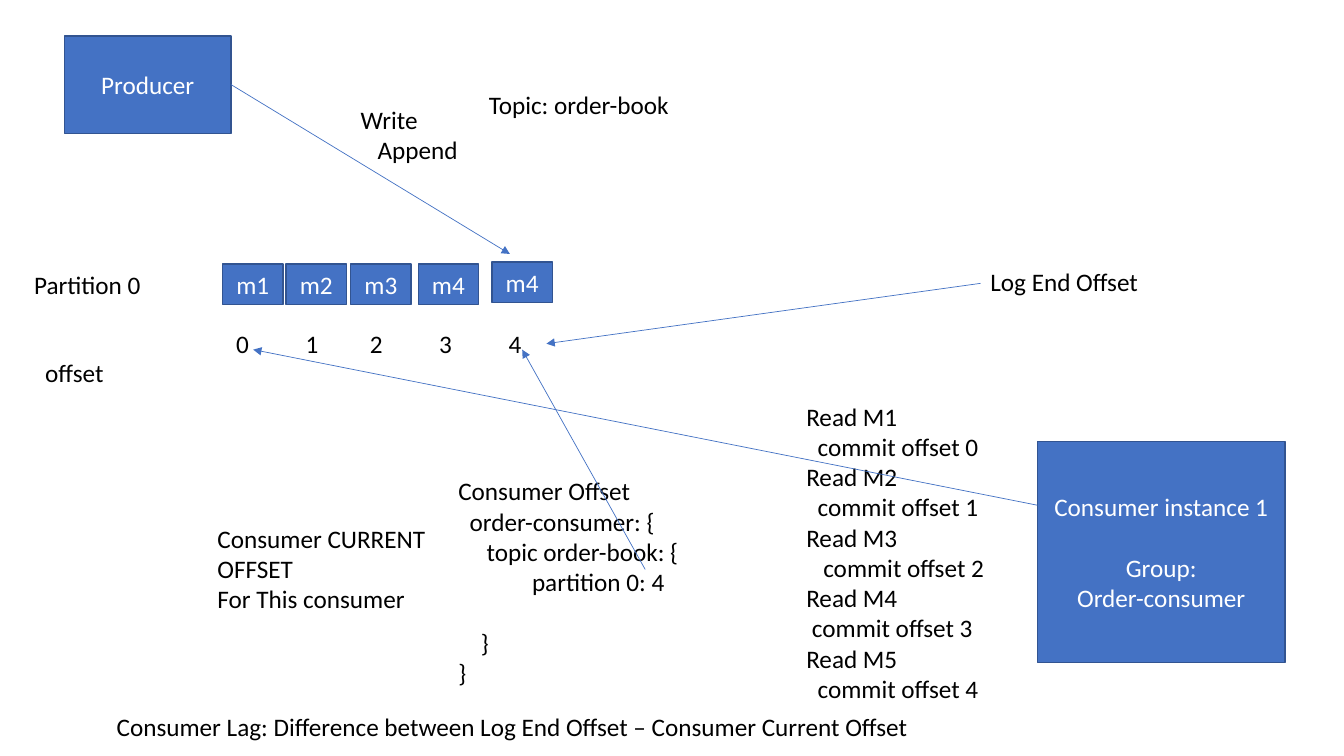
from pptx import Presentation
from pptx.dml.color import RGBColor
from pptx.enum.shapes import MSO_CONNECTOR, MSO_SHAPE
from pptx.enum.text import MSO_ANCHOR, MSO_AUTO_SIZE, PP_ALIGN
from pptx.oxml.ns import qn
from pptx.util import Cm, Pt
from lxml.etree import SubElement

BLUE = RGBColor(0x44, 0x72, 0xC4)
DARK_BLUE = RGBColor(0x32, 0x54, 0x91)
WHITE = RGBColor(0xFF, 0xFF, 0xFF)
BLACK = RGBColor(0, 0, 0)
FONT = "Calibri"
SIZE = Pt(18)
SPACE_WIDTH = 0.143  # cm per indent step
LINE_GAP = Pt(22)

presentation = Presentation()
presentation.slide_width = Cm(33.87)
presentation.slide_height = Cm(19.05)
slide = presentation.slides.add_slide(presentation.slide_layouts[6])


def write_text(shape, text, color, alignment):
    shape.text_frame.text = text
    for paragraph in shape.text_frame.paragraphs:
        paragraph.alignment = alignment
        for run in paragraph.runs:
            run.font.name = FONT
            run.font.size = SIZE
            run.font.color.rgb = color


def add_label(left, top, width, height, text, wrap=False):
    label = slide.shapes.add_textbox(Cm(left), Cm(top), Cm(width), Cm(height))
    write_text(label, text, BLACK, PP_ALIGN.LEFT)
    label.text_frame.word_wrap = wrap
    label.text_frame.auto_size = MSO_AUTO_SIZE.SHAPE_TO_FIT_TEXT
    return label.text_frame.paragraphs


# Boxes: messages of the partition, producer and consumer
boxes = [
    (5.61, 6.65, 1.52, 1.02, "m1"),
    (7.21, 6.65, 1.52, 1.02, "m2"),
    (8.84, 6.65, 1.52, 1.02, "m3"),
    (10.54, 6.65, 1.52, 1.02, "m4"),
    (12.4, 6.6, 1.52, 1.02, "m4"),
    (1.63, 0.91, 4.19, 2.46, "Producer"),
    (26.14, 11.13, 6.25, 5.56, "Consumer instance 1\nGroup:\nOrder-consumer"),
]
for left, top, width, height, text in boxes:
    box = slide.shapes.add_shape(MSO_SHAPE.RECTANGLE, Cm(left), Cm(top), Cm(width), Cm(height))
    box.shadow.inherit = False
    box.fill.solid()
    box.fill.fore_color.rgb = BLUE
    box.line.color.rgb = DARK_BLUE
    box.line.width = Pt(1)
    box.text_frame.vertical_anchor = MSO_ANCHOR.MIDDLE
    write_text(box, text, WHITE, PP_ALIGN.CENTER)
    if text.startswith("Consumer"):
        box.text_frame.paragraphs[1].space_before = LINE_GAP

# Single-line labels
labels = [
    (0.61, 6.65, 3.23, "Partition 0"),
    (0.89, 8.89, 2.01, "offset"),
    (12.07, 2.13, 5.13, "Topic: order-book"),
    (24.71, 6.58, 4.29, "Log End Offset"),
    (2.69, 17.81, 20.57,
     "Consumer Lag: Difference between Log End Offset – Consumer Current Offset"),
]
for left, top, width, text in labels:
    add_label(left, top, width, 1.02, text)

# Offset number under each message
for offset, left in enumerate((5.7, 7.45, 9.07, 10.82, 12.57)):
    add_label(left, 8.15, 0.83, 1.02, str(offset))

# Multi-line labels: position, size, wrap, (indent steps, text) per line
commit_lines = []
for offset, steps in enumerate((2, 2, 3, 1, 2)):
    commit_lines += [(0, f"Read M{offset + 1}"), (steps, f"commit offset {offset}")]
blocks = [
    (8.84, 2.51, 3.0, 1.8, False, [(0, "Write"), (3, "Append")]),
    (11.3, 11.86, 11.13, 5.64, True,
     [(0, "Consumer Offset"), (2, "order-consumer: {"), (5, "topic order-book: {"),
      (13, "partition 0: 4"), (4, "}"), (0, "}")]),
    (5.23, 13.06, 5.94, 2.57, False,
     [(0, "Consumer CURRENT"), (0, "OFFSET"), (0, "For This consumer")]),
    (20.07, 9.98, 5.05, 7.95, False, commit_lines),
]
for left, top, width, height, wrap, lines in blocks:
    text = "\n".join(line for steps, line in lines)
    paragraphs = add_label(left, top, width, height, text, wrap)
    for paragraph, (steps, line) in zip(paragraphs, lines):
        if steps:
            paragraph._p.get_or_add_pPr().set("marL", str(Cm(steps * SPACE_WIDTH)))
            paragraph._p.get_or_add_pPr().set("indent", "0")
        if (steps, line) == (4, "}"):
            paragraph.space_before = LINE_GAP

# Arrows
arrows = [
    (5.82, 2.13, 12.85, 6.4),      # producer to newest message
    (24.71, 7.14, 13.77, 8.66),    # log end offset
    (16.26, 14.35, 13.16, 8.81),   # committed consumer offset
    (26.14, 12.73, 6.38, 8.81),    # consumer to first offset
]
for start_x, start_y, end_x, end_y in arrows:
    arrow = slide.shapes.add_connector(
        MSO_CONNECTOR.STRAIGHT, Cm(start_x), Cm(start_y), Cm(end_x), Cm(end_y))
    arrow.line.color.rgb = BLUE
    arrow.line.width = Pt(0.5)
    SubElement(arrow.line._get_or_add_ln(), qn("a:tailEnd"), type="triangle")
    SubElement(arrow._element.spPr, qn("a:effectLst"))

presentation.save("out.pptx")
